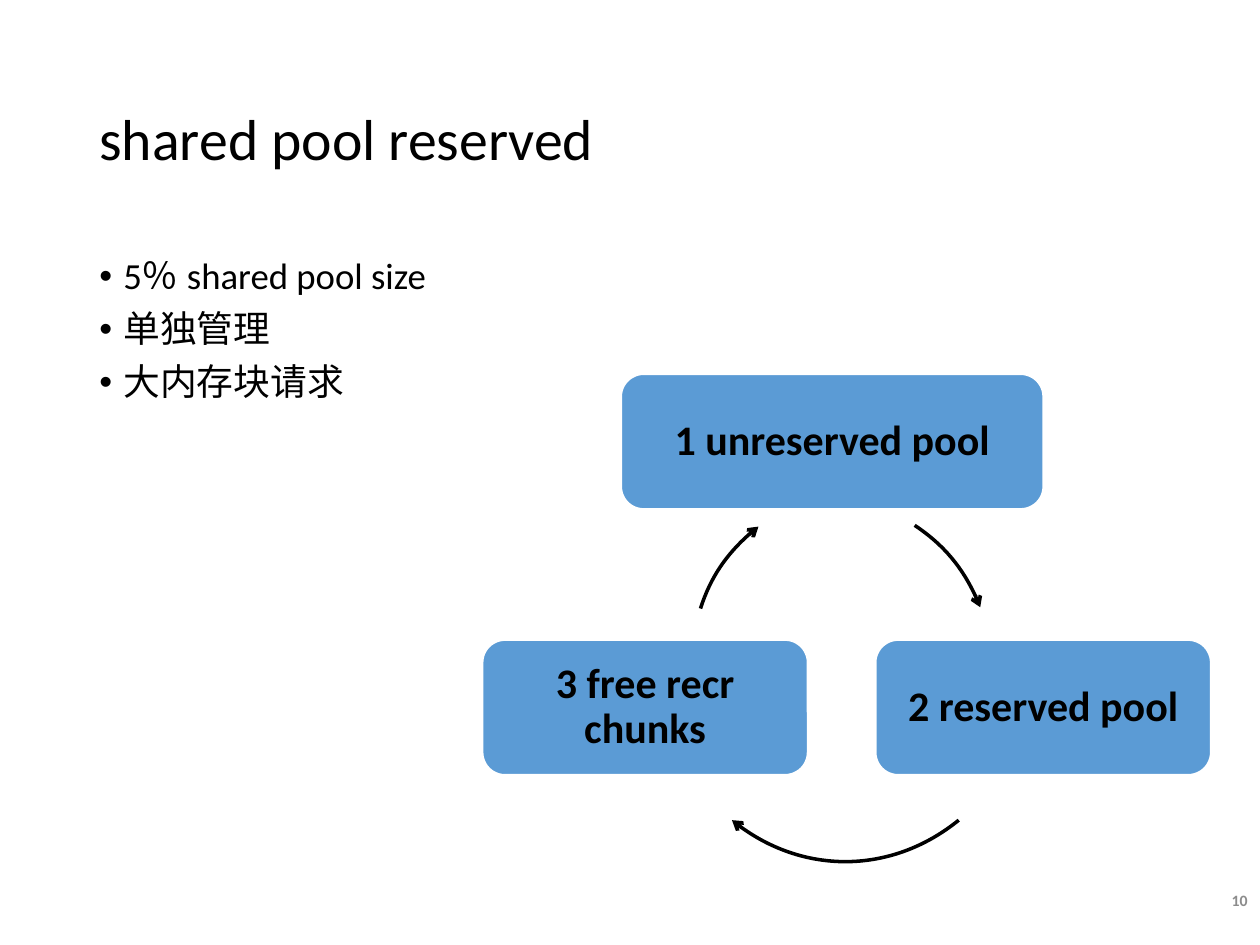
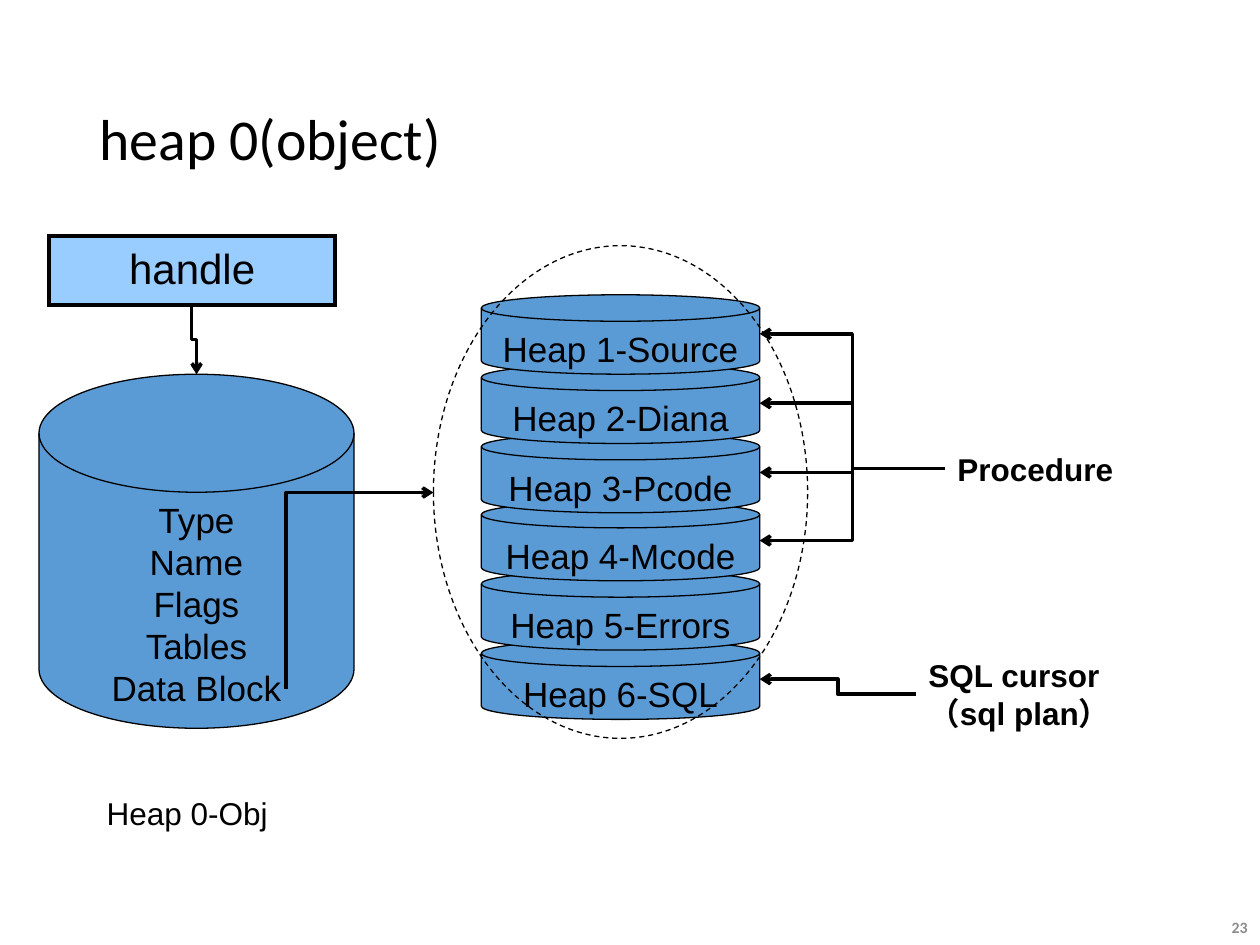
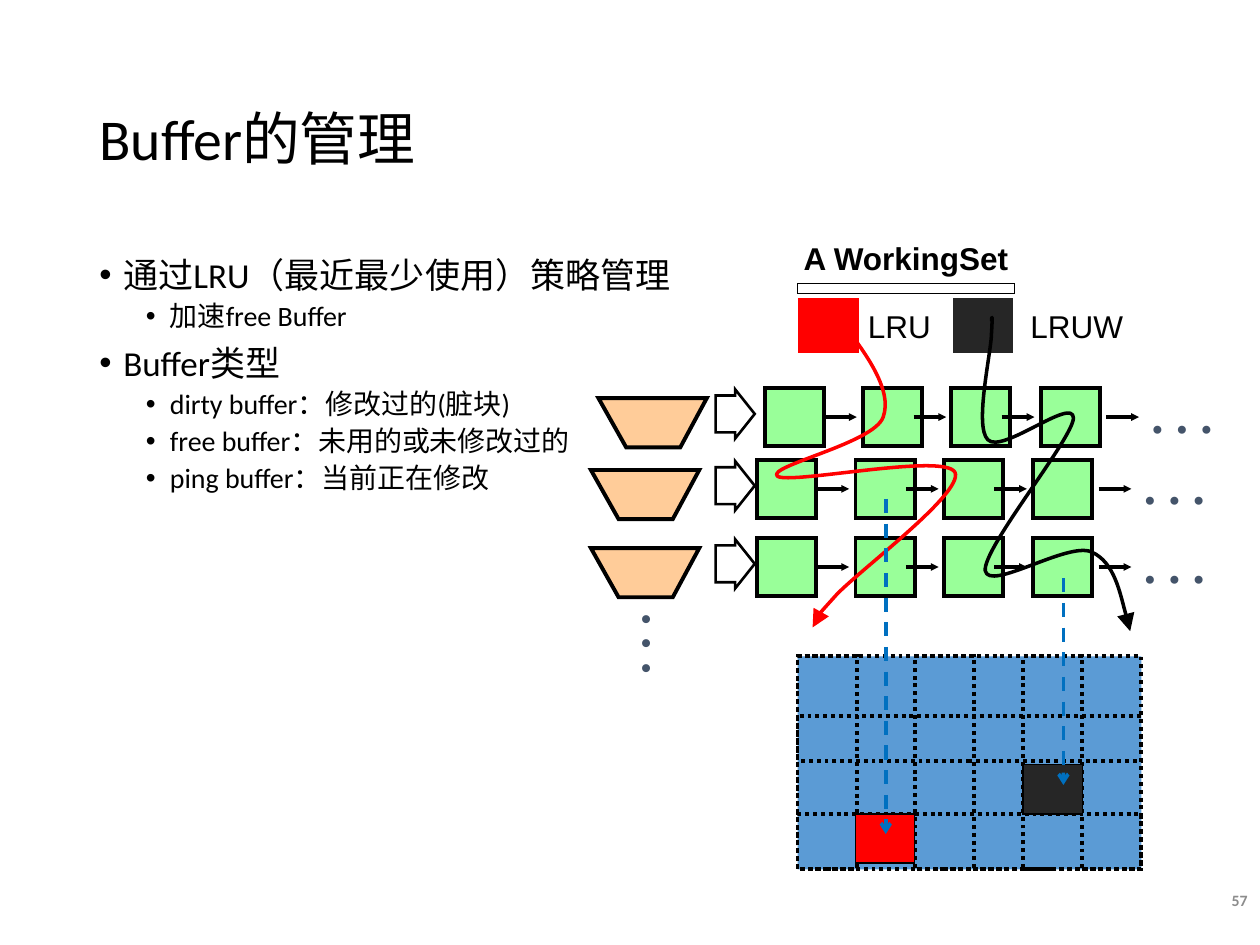
from dataclasses import dataclass
from typing import NamedTuple, Optional, Sequence

from lxml.etree import SubElement
from pptx import Presentation
from pptx.dml.color import RGBColor
from pptx.enum.dml import MSO_LINE as Dash
from pptx.enum.shapes import MSO_CONNECTOR as Connector, MSO_SHAPE as Preset
from pptx.enum.text import MSO_ANCHOR as Anchor, PP_ALIGN as Align
from pptx.oxml.ns import qn
from pptx.util import Pt

PX = 9144  # 100 px to the inch
SLIDE_WIDTH, SLIDE_HEIGHT = 1000, 750

COLORS = {
    "black": "000000", "white": "FFFFFF", "gray": "8C8C8C", "blue": "5B9BD5",
    "handle": "99CCFF", "red": "FF0000", "charcoal": "262626", "green": "99FF99",
    "peach": "FFCC99", "slate": "44546A", "pointer": "0070C0",
}


class Box(NamedTuple):
    left: int
    top: int
    width: int
    height: int


class Point(NamedTuple):
    x: int
    y: int


@dataclass(frozen=True)
class TextStyle:
    size: int
    font: str = "Arial"
    color: str = "black"
    bold: bool = False
    align: Align = Align.LEFT
    anchor: Anchor = Anchor.TOP
    spacing: Optional[float] = None
    margins: tuple[int, int] = (10, 5)
    wrap: bool = True


@dataclass(frozen=True)
class Stroke:
    color: str = "black"
    width: float = 2
    dash: Optional[Dash] = None
    head: Optional[str] = None
    head_size: str = "med"


class Bullet(NamedTuple):
    text: str
    size: int
    level: int = 0


class Card(NamedTuple):
    text: str
    box: Box


class CycleArrow(NamedTuple):
    frame: Box
    points: Sequence[tuple[int, int]]


class BufferRow(NamedTuple):
    left: int
    top: int


TITLE = TextStyle(33, "Calibri", anchor=Anchor.MIDDLE, spacing=0.9)
NUMBER = TextStyle(9, "Calibri", "gray", True, Align.RIGHT, Anchor.MIDDLE)
CARD = TextStyle(24, "Calibri", bold=True, align=Align.CENTER, anchor=Anchor.MIDDLE,
                 spacing=0.9, margins=(15, 15))
HANDLE = TextStyle(24, align=Align.CENTER, anchor=Anchor.MIDDLE, spacing=0.95,
                   margins=(5, 5), wrap=False)
DISK = TextStyle(20, align=Align.CENTER)
LABEL = TextStyle(18)
LABEL_CENTER = TextStyle(18, align=Align.CENTER)
LABEL_BOLD = TextStyle(18, bold=True)
HEADING = TextStyle(18, bold=True, align=Align.CENTER)
DOTS = TextStyle(28, "Times New Roman", "slate", True)

THIN = Stroke(width=0.75)
FRAME = Stroke(width=2.25)
DOTTED = Stroke(width=2.25, dash=Dash.ROUND_DOT)
ARROW = Stroke(head="arrow")


# Shared drawing functions

def rgb(name: str) -> RGBColor:
    return RGBColor.from_string(COLORS[name])


def scaled(values: Sequence[float]) -> list[int]:
    return [round(value * PX) for value in values]


def set_stroke(shape, stroke: Stroke) -> None:
    line = shape.line
    line.color.rgb = rgb(stroke.color)
    line.width = Pt(stroke.width)
    if stroke.dash is not None:
        line.dash_style = stroke.dash
    outline = shape.element.spPr.find(qn("a:ln"))
    if stroke.head:
        SubElement(outline, qn("a:tailEnd"), type=stroke.head,
                   w=stroke.head_size, len=stroke.head_size)
    else:
        SubElement(outline, qn("a:miter"), lim="800000")


def set_look(shape, fill: Optional[str], stroke: Stroke) -> None:
    shape.shadow.inherit = False
    if fill:
        shape.fill.solid()
        shape.fill.fore_color.rgb = rgb(fill)
    else:
        shape.fill.background()
    set_stroke(shape, stroke)


def format_runs(paragraph, style: TextStyle, size: int) -> None:
    for run in paragraph.runs:
        run.font.name = style.font
        run.font.size = Pt(size)
        run.font.bold = style.bold
        run.font.color.rgb = rgb(style.color)


def set_text(shape, text: str, style: TextStyle) -> None:
    frame = shape.text_frame
    frame.text = text
    frame.word_wrap = style.wrap
    frame.vertical_anchor = style.anchor
    side, end = scaled(style.margins)
    frame.margin_left = frame.margin_right = side
    frame.margin_top = frame.margin_bottom = end
    for paragraph in frame.paragraphs:
        paragraph.alignment = style.align
        if style.spacing:
            paragraph.line_spacing = style.spacing
        format_runs(paragraph, style, style.size)


def add_text(slide, box: Box, text: str, style: TextStyle):
    shape = slide.shapes.add_textbox(*scaled(box))
    set_text(shape, text, style)
    return shape


def add_preset(slide, preset: Preset, box: Box, fill: Optional[str], stroke: Stroke,
               text: str = "", style: TextStyle = DISK):
    shape = slide.shapes.add_shape(preset, *scaled(box))
    set_look(shape, fill, stroke)
    if text:
        set_text(shape, text, style)
    return shape


def add_outline(slide, points: Sequence[tuple[int, int]], fill: Optional[str],
                stroke: Stroke, close: bool):
    builder = slide.shapes.build_freeform(*points[0], scale=PX)
    builder.add_line_segments(points[1:], close=close)
    shape = builder.convert_to_shape()
    set_look(shape, fill, stroke)
    return shape


def add_curve(slide, points: Sequence[tuple[int, int]], stroke: Stroke,
              frame: Optional[Box] = None) -> None:
    """Draw cubic curves: a start, then two handles and an end for each."""
    shape = add_outline(slide, points, None, stroke, close=False)
    track = shape.element.xpath(".//a:path")[0]
    if frame:
        # Let the shape fill the frame and keep the curve in place
        shape.left, shape.top, shape.width, shape.height = scaled(frame)
        track.set("w", str(frame.width))
        track.set("h", str(frame.height))
        for node, (x, y) in zip(track.iter(qn("a:pt")), points):
            node.set("x", str(x - frame.left))
            node.set("y", str(y - frame.top))
    segments = track.findall(qn("a:lnTo"))
    for index in range(0, len(segments), 3):
        curve = SubElement(track, qn("a:cubicBezTo"))
        for segment in segments[index:index + 3]:
            curve.append(segment[0])
            track.remove(segment)


def add_line(slide, start: Point, end: Point, stroke: Stroke,
             kind: Connector = Connector.STRAIGHT):
    connector = slide.shapes.add_connector(kind, *scaled((*start, *end)))
    set_stroke(connector, stroke)
    SubElement(connector.element.spPr, qn("a:effectLst"))
    return connector


def add_elbow(slide, start: Point, end: Point, vertical: bool = False,
              preset: str = "bentConnector3") -> None:
    """Draw a bent arrow; a vertical one leaves its start upwards or downwards."""
    if vertical:
        # A quarter turn about the centre swaps the two directions
        middle_x, middle_y = (start.x + end.x) / 2, (start.y + end.y) / 2
        half_x, half_y = (end.x - start.x) / 2, (end.y - start.y) / 2
        start = Point(middle_x - half_y, middle_y + half_x)
        end = Point(middle_x + half_y, middle_y - half_x)
    connector = add_line(slide, start, end, ARROW, Connector.ELBOW)
    properties = connector.element.spPr
    properties.find(qn("a:prstGeom")).set("prst", preset)
    if vertical:
        properties.find(qn("a:xfrm")).set("rot", str(90 * 60000))


def add_bullets(slide, bullets: Sequence[Bullet]) -> None:
    style = TextStyle(20, "Calibri", spacing=0.9)
    text = "\n".join(bullet.text for bullet in bullets)
    shape = add_text(slide, Box(69, 200, 862, 476), text, style)
    for index, (paragraph, bullet) in enumerate(zip(shape.text_frame.paragraphs, bullets)):
        paragraph.level = bullet.level
        properties = paragraph._p.get_or_add_pPr()
        left, hanging = scaled((56 if bullet.level else 19, -19))
        properties.set("marL", str(left))
        properties.set("indent", str(hanging))
        SubElement(properties, qn("a:buFont"), typeface="Arial")
        SubElement(properties, qn("a:buChar"), char="•")
        if index:
            paragraph.space_before = Pt(3.8 if bullet.level else 7.5)
        format_runs(paragraph, style, bullet.size)


def new_slide(presentation, title: str, number: int, number_top: int = 700):
    slide = presentation.slides.add_slide(presentation.slide_layouts[6])
    add_text(slide, Box(69, 40, 862, 145), title, TITLE)
    add_text(slide, Box(767, number_top, 233, 29), str(number), NUMBER)
    return slide


# Slide: reserved pool cycle

POOL_CARDS = (
    Card("1 unreserved pool", Box(493, 297, 335, 107)),
    Card("2 reserved pool", Box(695, 508, 266, 107)),
    Card("3 free recr chunks", Box(383, 508, 258, 107)),
)
CYCLE_ARROWS = (
    CycleArrow(Box(502, 392, 286, 286), ((726, 417), (750, 433), (768, 456), (778, 482))),
    CycleArrow(Box(528, 398, 286, 286), ((761, 651), (708, 694), (633, 694), (581, 651))),
    CycleArrow(Box(548, 387, 286, 286), ((556, 483), (564, 458), (580, 435), (602, 418))),
)


def build_reserved_pool(presentation) -> None:
    slide = new_slide(presentation, "shared pool reserved", 10)
    add_bullets(slide, [Bullet("5％ shared pool size", 21), Bullet("单独管理", 21),
                        Bullet("大内存块请求", 21)])
    for card, arrow in zip(POOL_CARDS, CYCLE_ARROWS):
        add_preset(slide, Preset.ROUNDED_RECTANGLE, card.box, "blue",
                   Stroke("white", 1), card.text, CARD)
        add_curve(slide, arrow.points, ARROW, arrow.frame)


# Slide: heap 0 and its heaps

HEAPS = ("Source", "Diana", "Pcode", "Mcode", "Errors", "SQL")
HEAP_STACK = Box(382, 234, 221, 63)
HEAP_STEP = 54.8


def heap_top(index: int) -> int:
    return round(HEAP_STACK.top + index * HEAP_STEP)


def build_heap(presentation) -> None:
    slide = new_slide(presentation, "heap 0(object)", 23, 721)
    add_preset(slide, Preset.RECTANGLE, Box(39, 187, 227, 55), "handle", FRAME,
               "handle", HANDLE)
    add_elbow(slide, Point(152, 242), Point(156, 297), vertical=True)

    # Stack of heaps, lowest first
    for index, name in reversed(list(enumerate(HEAPS))):
        add_preset(slide, Preset.FLOWCHART_MAGNETIC_DISK,
                   HEAP_STACK._replace(top=heap_top(index)), "blue", THIN,
                   f"Heap {index + 1}-{name}")
    add_preset(slide, Preset.OVAL, Box(344, 195, 297, 391), None,
               Stroke(width=0.75, dash=Dash.DASH))
    add_preset(slide, Preset.FLOWCHART_MAGNETIC_DISK, Box(31, 297, 250, 281), "blue",
               THIN, "Type\nName\nFlags\nTables\nData Block")

    # Users of the heaps
    stack_right = HEAP_STACK.left + HEAP_STACK.width
    add_text(slide, Box(727, 516, 211, 71), "SQL cursor\n（sql plan）", LABEL_BOLD)
    add_elbow(slide, Point(727, 551), Point(stack_right, 539))
    add_text(slide, Box(750, 352, 211, 40), "Procedure", LABEL_BOLD)
    for index in range(4):
        heap_middle = heap_top(index) + HEAP_STACK.height // 2
        add_elbow(slide, Point(750, 372), Point(stack_right, heap_middle))

    add_text(slide, Box(39, 625, 219, 40), "Heap 0-Obj", LABEL_CENTER)
    add_elbow(slide, Point(227, 547), Point(344, 391), vertical=True,
              preset="bentConnector2")


# Slide: buffer management

BUFFER_BULLETS = (
    Bullet("通过LRU（最近最少使用）策略管理", 20),
    Bullet("加速free Buffer", 16, 1),
    Bullet("Buffer类型", 20),
    Bullet("dirty buffer：修改过的(脏块)", 16, 1),
    Bullet("free buffer：未用的或未修改过的", 16, 1),
    Bullet("ping buffer：当前正在修改", 16, 1),
)
BUFFER_ROWS = (BufferRow(607, 308), BufferRow(601, 365), BufferRow(601, 427))
BUFFER_WIDTH, BUFFER_HEIGHT = 47, 46
BUFFER_OFFSETS = (0, 78, 148, 219)
LINK_OFFSETS = (BUFFER_WIDTH, 118, 188, 271)
LINK_LENGTH = 26
LRU_CURVE = (
    (662, 248), (686, 278), (709, 309), (701, 331), (694, 352), (608, 370), (617, 378),
    (627, 385), (750, 359), (758, 375), (765, 391), (683, 452), (664, 472),
    (645, 493), (645, 495), (645, 498),
)
LRUW_CURVE = (
    (787, 255), (787, 251), (788, 248), (787, 264), (787, 279), (773, 338), (784, 349),
    (795, 361), (852, 314), (852, 332), (851, 349), (780, 435), (782, 453),
    (785, 470), (847, 430), (866, 438), (885, 446), (897, 501), (897, 501),
)
CACHE = Box(633, 521, 273, 169)
CACHE_COLUMNS = (633, 726, 812)
CACHE_BANDS = ((568, 36), (646, 44))


def add_buffer_row(slide, row: BufferRow) -> None:
    left, top = row.left - 132, row.top + 8
    add_outline(slide, [(left, top), (left + 22, top + 39), (left + 65, top + 39),
                        (left + 86, top)], "peach", FRAME, close=True)
    block_arrow = add_preset(slide, Preset.RIGHT_ARROW, Box(568, row.top + 1, 31, 39),
                             None, Stroke(width=1.5))
    block_arrow.adjustments[0] = 0.75
    block_arrow.adjustments[1] = 0.5

    middle = row.top + BUFFER_HEIGHT // 2
    for buffer_offset, link_offset in zip(BUFFER_OFFSETS, LINK_OFFSETS):
        buffer = add_preset(slide, Preset.RECTANGLE,
                            Box(row.left + buffer_offset, row.top, BUFFER_WIDTH,
                                BUFFER_HEIGHT), "green", FRAME)
        start = Point(row.left + link_offset, middle)
        link = add_line(slide, start, Point(start.x + LINK_LENGTH, middle),
                        Stroke(width=2.25, head="triangle", head_size="sm"))
        if link_offset == buffer_offset + BUFFER_WIDTH:
            link.begin_connect(buffer, 3)
    add_text(slide, Box(row.left + 297, row.top - 8, 83, 57), ". . .", DOTS)


def build_buffers(presentation) -> None:
    slide = new_slide(presentation, "Buffer的管理", 57)
    add_bullets(slide, BUFFER_BULLETS)

    # Working set
    for color, left in (("charcoal", 758), ("red", 635)):
        add_preset(slide, Preset.RECTANGLE, Box(left, 238, 45, 41), color, Stroke(color))
    add_text(slide, Box(679, 239, 74, 40), "LRU", LABEL)
    add_text(slide, Box(808, 239, 100, 40), "LRUW", LABEL)
    add_preset(slide, Preset.RECTANGLE, Box(633, 225, 172, 8), "white", THIN)
    add_text(slide, Box(594, 185, 250, 40), "A WorkingSet", HEADING)

    # Cache grid
    add_preset(slide, Preset.RECTANGLE, CACHE, "blue", DOTTED)
    for left in CACHE_COLUMNS:
        add_preset(slide, Preset.RECTANGLE, CACHE._replace(left=left, width=47),
                   None, DOTTED)
    for top, height in CACHE_BANDS:
        add_preset(slide, Preset.RECTANGLE, CACHE._replace(top=top, height=height),
                   None, DOTTED)

    # Buffer chains and the lists through them
    for row in BUFFER_ROWS:
        add_buffer_row(slide, row)
    add_curve(slide, LRU_CURVE, Stroke("red", head="triangle", head_size="lg"))
    add_curve(slide, LRUW_CURVE, Stroke(head="triangle", head_size="lg"))
    add_text(slide, Box(484, 490, 83, 57), ". . .", DOTS).rotation = 90

    # Cached blocks and their pointers
    pointer = Stroke("pointer", dash=Dash.DASH, head="arrow")
    for color, left, top, start, end in (
        ("charcoal", 812, 607, Point(844, 459), Point(844, 623)),
        ("red", 679, 646, Point(703, 396), Point(703, 662)),
    ):
        add_preset(slide, Preset.RECTANGLE, Box(left, top, 47, 39), color, THIN)
        add_line(slide, start, end, pointer)


def main() -> None:
    presentation = Presentation()
    presentation.slide_width, presentation.slide_height = scaled((SLIDE_WIDTH, SLIDE_HEIGHT))
    build_reserved_pool(presentation)
    build_heap(presentation)
    build_buffers(presentation)
    presentation.save("out.pptx")


if __name__ == "__main__":
    main()
